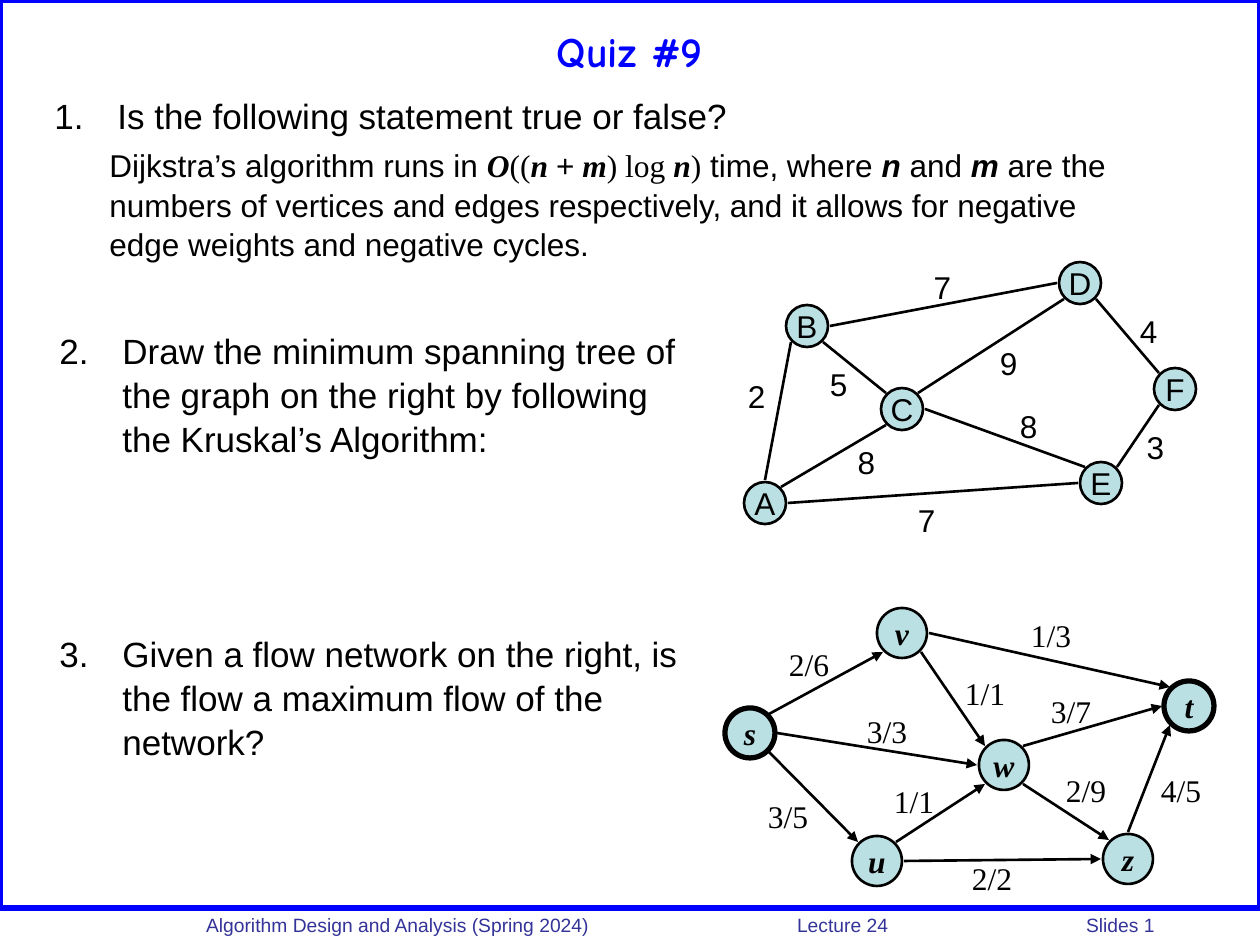
from typing import NamedTuple

from lxml.etree import SubElement
from pptx import Presentation
from pptx.dml.color import RGBColor
from pptx.enum.shapes import MSO_CONNECTOR as Connector, MSO_SHAPE as Preset
from pptx.enum.text import MSO_ANCHOR as Anchor, PP_ALIGN as Align
from pptx.oxml.ns import qn
from pptx.util import Emu, Pt

SCALE = 914400 / 126  # EMU in one px
BLACK, BLUE, NAVY, NODE_FILL = "000000", "0000FF", "333399", "BBE0E3"
SANS, SERIF, TITLE_FONT = "Arial", "Times New Roman", "Comic Neue"
INDENT = 63
COMPASS = {"N": (0, -1), "E": (1, 0), "W": (-1, 0),
           "NE": (1, -1), "SE": (1, 1), "NW": (-1, -1), "SW": (-1, 1)}


class Style(NamedTuple):
    size: int
    font: str = SANS
    color: str = BLACK
    bold: bool = False
    italic: bool = False


class Node(NamedTuple):
    name: str
    x: int
    y: int
    line_width: float = 1.5


class Edge(NamedTuple):
    start: str
    start_side: str
    end: str
    end_side: str
    label: str
    label_x: int
    label_y: int


class Graph(NamedTuple):
    nodes: list[Node]
    edges: list[Edge]
    diameter: int
    side_reach: int      # from a node's centre to an edge leaving straight
    diagonal_reach: int  # the same along x and y for a slanting edge
    label_width: int
    node_style: Style
    label_style: Style
    directed: bool


def px(length: float) -> Emu:
    return Emu(round(length * SCALE))


def rgb(color: str) -> RGBColor:
    return RGBColor.from_string(color)


def add_run(paragraph, text: str, style: Style) -> None:
    run = paragraph.add_run()
    run.text = text
    font = run.font
    font.name, font.size = style.font, Pt(style.size)
    font.bold, font.italic = style.bold, style.italic
    font.color.rgb = rgb(style.color)


def add_box(slide, left: int, top: int, width: int, height: int, wrap: bool = True):
    box = slide.shapes.add_textbox(px(left), px(top), px(width), px(height))
    box.text_frame.word_wrap = wrap
    return box.text_frame


def add_question(slide, left: int, top: int, width: int, height: int,
                 number: int, text: str):
    frame = add_box(slide, left, top, width, height)
    paragraph = frame.paragraphs[0]
    paragraph.line_spacing = 1.05
    properties = paragraph._p.get_or_add_pPr()
    properties.set("marL", str(px(INDENT)))
    properties.set("indent", str(-px(INDENT)))
    SubElement(properties, qn("a:buFont"), typeface=SANS)
    SubElement(properties, qn("a:buAutoNum"), type="arabicPeriod", startAt=str(number))
    add_run(paragraph, text, Style(20))
    return frame


def add_node(slide, node: Node, graph: Graph) -> None:
    radius = graph.diameter / 2
    shape = slide.shapes.add_shape(Preset.OVAL, px(node.x - radius), px(node.y - radius),
                                   px(graph.diameter), px(graph.diameter))
    shape.shadow.inherit = False
    shape.fill.solid()
    shape.fill.fore_color.rgb = rgb(NODE_FILL)
    shape.line.color.rgb = rgb(BLACK)
    shape.line.width = Pt(node.line_width)
    frame = shape.text_frame
    frame.word_wrap = False
    frame.vertical_anchor = Anchor.MIDDLE
    frame.paragraphs[0].alignment = Align.CENTER
    add_run(frame.paragraphs[0], node.name, graph.node_style)


def edge_point(node: Node, side: str, graph: Graph) -> tuple[Emu, Emu]:
    reach = graph.side_reach if len(side) == 1 else graph.diagonal_reach
    dx, dy = COMPASS[side]
    return px(node.x + dx * reach), px(node.y + dy * reach)


def add_edge(slide, edge: Edge, nodes: dict[str, Node], graph: Graph) -> None:
    line = slide.shapes.add_connector(
        Connector.STRAIGHT,
        *edge_point(nodes[edge.start], edge.start_side, graph),
        *edge_point(nodes[edge.end], edge.end_side, graph))
    line.line.color.rgb = rgb(BLACK)
    line.line.width = Pt(1.5)
    if graph.directed:
        SubElement(line.line._get_or_add_ln(), qn("a:tailEnd"), type="triangle")
    SubElement(line._element.spPr, qn("a:effectLst"))

    frame = add_box(slide, edge.label_x - graph.label_width // 2, edge.label_y - 25,
                    graph.label_width, 50, wrap=False)
    frame.paragraphs[0].alignment = Align.CENTER
    add_run(frame.paragraphs[0], edge.label, graph.label_style)


def add_graph(slide, graph: Graph) -> None:
    for node in graph.nodes:
        add_node(slide, node, graph)
    nodes = {node.name: node for node in graph.nodes}
    for edge in graph.edges:
        add_edge(slide, edge, nodes, graph)


SPANNING_GRAPH = Graph(
    [Node("A", 765, 503), Node("B", 807, 326), Node("C", 902, 409),
     Node("D", 1080, 283), Node("E", 1101, 483), Node("F", 1175, 389)],
    [Edge("B", "SE", "C", "NW", "5", 838, 384),
     Edge("C", "SW", "A", "NE", "8", 866, 462),
     Edge("B", "SW", "A", "N", "2", 756, 396),
     Edge("C", "E", "E", "NW", "8", 1028, 426),
     Edge("A", "E", "E", "W", "7", 926, 520),
     Edge("B", "E", "D", "W", "7", 942, 287),
     Edge("C", "NE", "D", "SW", "9", 1008, 363),
     Edge("F", "NW", "D", "SE", "4", 1148, 331),
     Edge("E", "NE", "F", "SW", "3", 1155, 447)],
    42, 23, 16, 43, Style(18), Style(18), directed=False)

FLOW_NETWORK = Graph(
    [Node("w", 1004, 765), Node("s", 750, 733, 3), Node("v", 902, 633),
     Node("u", 877, 861), Node("t", 1189, 706, 3), Node("z", 1128, 859)],
    [Edge("s", "NE", "v", "SW", "2/6", 809, 664),
     Edge("s", "SE", "u", "NW", "3/5", 788, 816),
     Edge("v", "SE", "w", "NW", "1/1", 985, 693),
     Edge("v", "E", "t", "NW", "1/3", 1051, 635),
     Edge("w", "NE", "t", "W", "3/7", 1071, 711),
     Edge("w", "SE", "z", "NW", "2/9", 1086, 790),
     Edge("z", "N", "t", "SW", "4/5", 1181, 790),
     Edge("u", "E", "z", "W", "2/2", 992, 878),
     Edge("u", "NE", "w", "SW", "1/1", 914, 801),
     Edge("s", "E", "w", "W", "3/3", 887, 731)],
    50, 27, 19, 66, Style(18, SERIF, bold=True, italic=True), Style(18, SERIF),
    directed=True)

presentation = Presentation()
presentation.slide_width, presentation.slide_height = px(1260), px(945)
slide = presentation.slides.add_slide(presentation.slide_layouts[6])

# Frame
border = slide.shapes.add_shape(Preset.RECTANGLE, 0, 0, px(1260), px(908))
border.shadow.inherit = False
border.fill.background()
border.line.color.rgb = rgb(BLUE)
border.line.width = Pt(3)

# Footer, three parts on tab stops
footer = add_box(slide, 168, 907, 1092, 33)
footer.margin_left = px(38)
tabs = SubElement(footer.paragraphs[0]._p.get_or_add_pPr(), qn("a:tabLst"))
for position in (591, 880):
    SubElement(tabs, qn("a:tab"), pos=str(px(position)), algn="l")
add_run(footer.paragraphs[0],
        "Algorithm Design and Analysis (Spring 2024)\tLecture 24\tSlides 1",
        Style(11, color=NAVY))

# Title
title = add_box(slide, 63, 0, 1134, 101)
title.vertical_anchor = Anchor.MIDDLE
title.paragraphs[0].alignment = Align.CENTER
add_run(title.paragraphs[0], "Quiz #9", Style(24, TITLE_FONT, BLUE, bold=True))

# Questions
first = add_question(slide, 42, 86, 1108, 201, 1,
                     "Is the following statement true or false?")
add_question(slide, 47, 321, 665, 140, 2,
             "Draw the minimum spanning tree of the graph on the right "
             "by following the Kruskal’s Algorithm:")
add_question(slide, 47, 624, 665, 140, 3,
             "Given a flow network on the right, is the flow a maximum flow of the network?")

# Statement under question 1
PLAIN, MATH = Style(18), Style(18, SERIF)
VARIABLE = MATH._replace(bold=True, italic=True)
SANS_VARIABLE = PLAIN._replace(bold=True, italic=True)
statement = first.add_paragraph()
statement.line_spacing = 1.05
statement.space_before = Pt(4.5)
statement._p.get_or_add_pPr().set("marL", str(px(55)))
for text, style in [
        ("Dijkstra’s algorithm runs in ", PLAIN), ("O", VARIABLE), ("((", MATH),
        ("n ", VARIABLE), ("+", PLAIN), (" m", VARIABLE), (") log ", MATH),
        ("n", VARIABLE), (")", MATH), (" time, where ", PLAIN), ("n", SANS_VARIABLE),
        (" and ", PLAIN), ("m", SANS_VARIABLE),
        (" are the numbers of vertices and edges respectively, and it allows for "
         "negative edge weights and negative cycles.", PLAIN)]:
    add_run(statement, text, style)

# Graphs
add_graph(slide, SPANNING_GRAPH)
add_graph(slide, FLOW_NETWORK)

presentation.save("out.pptx")
